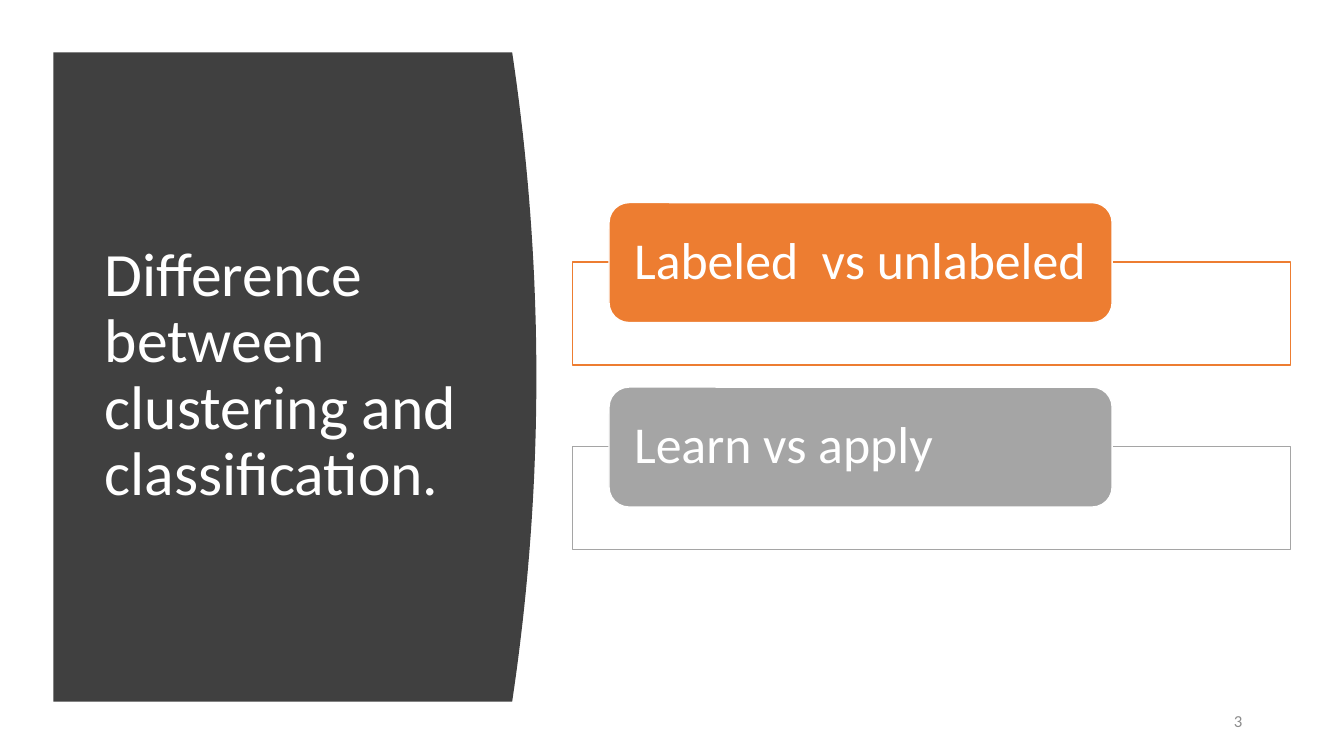
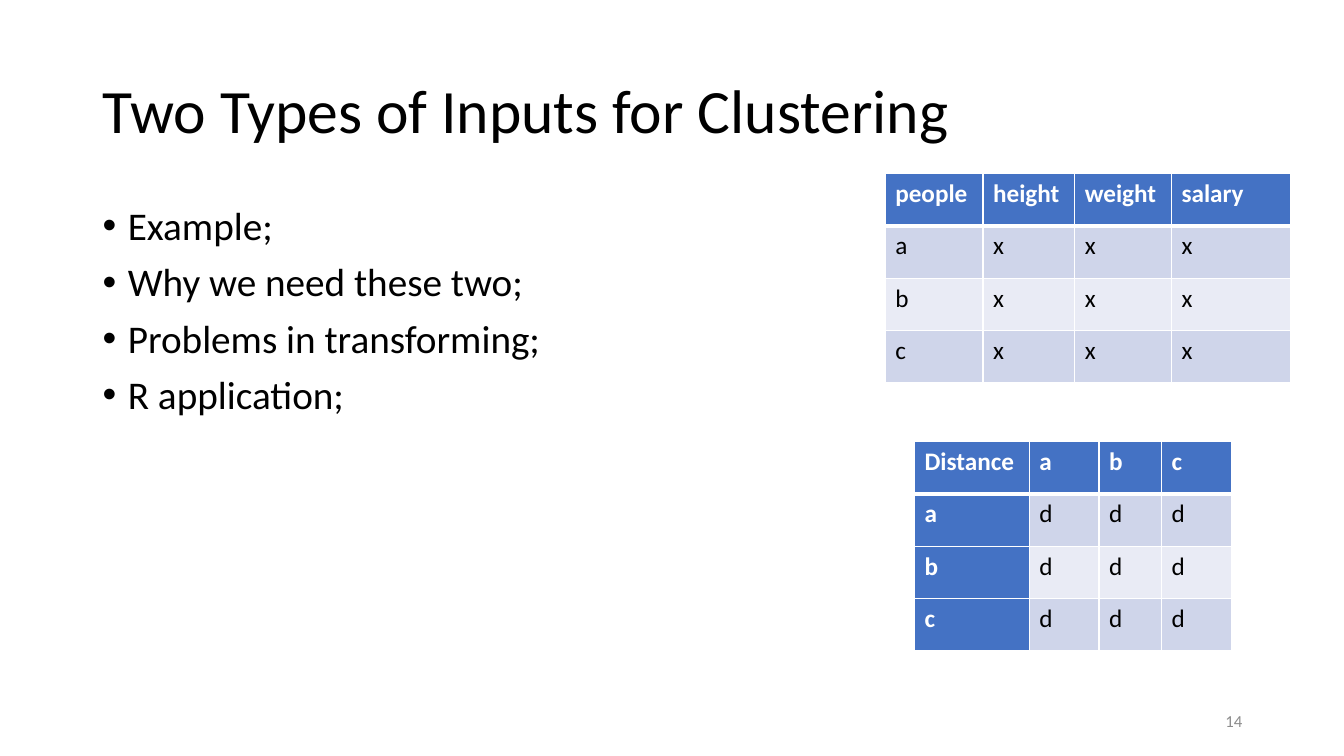
from lxml.etree import SubElement
from pptx import Presentation
from pptx.dml.color import RGBColor
from pptx.enum.shapes import MSO_SHAPE as Shape
from pptx.enum.text import MSO_ANCHOR as Anchor, PP_ALIGN as Align
from pptx.oxml.ns import qn
from pptx.util import Inches, Pt

COLOURS = {
    "white": "FFFFFF",
    "black": "000000",
    "panel": "404040",
    "orange": "ED7D31",
    "grey": "A5A5A5",
    "number": "8C8C8C",
    "blue": "4472C4",
    "band": "CFD5EA",
    "pale": "E9EBF5",
}


def colour(name):
    return RGBColor.from_string(COLOURS[name])


class Deck:
    font = "Calibri"

    def __init__(self):
        self.deck = Presentation()
        self.deck.slide_width = Inches(13.33)
        self.deck.slide_height = Inches(7.5)
        self.page = None

    def new_page(self, number):
        self.page = self.deck.slides.add_slide(self.deck.slide_layouts[6])
        self.text([str(number)], (9.42, 6.95, 3, 0.4), 12, "number",
                  anchor=Anchor.MIDDLE, align=Align.RIGHT)

    def style(self, frame, size, ink, bold=False, align=Align.LEFT, spacing=None):
        for para in frame.paragraphs:
            para.alignment = align
            para.line_spacing = spacing
            for span in para.runs:
                span.font.name = self.font
                span.font.size = Pt(size)
                span.font.bold = bold
                span.font.color.rgb = colour(ink)

    def text(self, lines, place, size, ink, anchor=Anchor.TOP,
             align=Align.LEFT, spacing=None):
        box = self.page.shapes.add_textbox(*map(Inches, place))
        frame = box.text_frame
        frame.word_wrap = True
        frame.vertical_anchor = anchor
        frame.text = "\n".join(lines)
        self.style(frame, size, ink, align=align, spacing=spacing)
        return frame

    def title(self, words, place=(0.92, 0.4, 11.5, 1.45), ink="black"):
        self.text([words], place, 44, ink, anchor=Anchor.MIDDLE, spacing=0.9)

    def bullets(self, lines, place):
        frame = self.text(lines, place, 28, "black", spacing=0.9)
        for para in frame.paragraphs:
            para.space_before = Pt(10)
            properties = para._p.get_or_add_pPr()
            properties.set("marL", str(Inches(0.25)))
            properties.set("indent", str(-Inches(0.25)))
            SubElement(properties, qn("a:buFont"), typeface="Arial")
            SubElement(properties, qn("a:buChar"), char="•")

    def paint(self, shape, fill, line=None):
        shape.shadow.inherit = False
        shape.fill.solid()
        shape.fill.fore_color.rgb = colour(fill)
        if line:
            shape.line.color.rgb = colour(line)
            shape.line.width = Pt(1)
        else:
            shape.line.fill.background()

    def shape(self, kind, place, fill, line):
        shape = self.page.shapes.add_shape(kind, *map(Inches, place))
        self.paint(shape, fill, line)
        return shape

    def curved_panel(self, left, top, right, bottom, bulge, steps=40):
        middle, half = (top + bottom) / 2, (bottom - top) / 2
        heights = [top + (bottom - top) * step / steps for step in range(steps + 1)]
        edge = [(right + bulge * (1 - ((y - middle) / half) ** 2), y) for y in heights]
        builder = self.page.shapes.build_freeform(
            Inches(left), Inches(top), scale=1.0)
        points = [(Inches(x), Inches(y)) for x, y in edge + [(left, bottom)]]
        builder.add_line_segments(points, close=True)
        self.paint(builder.convert_to_shape(), "panel")

    def labelled_frame(self, words, top, accent):
        frame = self.shape(Shape.RECTANGLE, (5.68, top + 0.59, 7.12, 1.02),
                           "white", accent)
        tint = frame.fill._xPr.find(qn("a:solidFill"))[0]
        SubElement(tint, qn("a:alpha"), val="90000")
        label = self.shape(Shape.ROUNDED_RECTANGLE, (6.04, top, 4.99, 1.19),
                           accent, "white")
        content = label.text_frame
        content.text = words
        content.word_wrap = True
        content.vertical_anchor = Anchor.MIDDLE
        content.margin_left = Inches(0.19)
        content.margin_right = Inches(0.1)
        content.margin_top = content.margin_bottom = 0
        self.style(content, 37, "white", spacing=0.9)

    def borders(self, cell, row):
        properties = cell._tc.get_or_add_tcPr()
        widths = {"L": 1, "R": 1, "T": 3 if row == 1 else 1, "B": 3 if row == 0 else 1}
        for side, width in widths.items():
            line = SubElement(properties, qn(f"a:ln{side}"), w=str(Pt(width)))
            fill = SubElement(line, qn("a:solidFill"))
            SubElement(fill, qn("a:srgbClr"), val=COLOURS["white"])

    def table(self, rows, left, top, widths, row_height=0.52, head_column=False):
        table = self.page.shapes.add_table(
            len(rows), len(widths), Inches(left), Inches(top),
            Inches(sum(widths)), Inches(row_height * len(rows))).table
        for column, width in zip(table.columns, widths):
            column.width = Inches(width)
        for r, values in enumerate(rows):
            for c, value in enumerate(values):
                cell = table.cell(r, c)
                head = r == 0 or (head_column and c == 0)
                self.borders(cell, r)
                cell.fill.solid()
                fill = "blue" if head else "band" if r % 2 else "pale"
                cell.fill.fore_color.rgb = colour(fill)
                cell.text_frame.text = value
                self.style(cell.text_frame, 18, "white" if head else "black", bold=head)


def main():
    show = Deck()

    show.new_page(3)
    show.curved_panel(0.53, 0.52, 5.08, 6.96, bulge=0.24)
    show.title("Difference between clustering and classification.",
               (0.94, 1.11, 3.74, 5.24), "white")
    labels = [("Labeled  vs unlabeled", "orange"), ("Learn vs apply", "grey")]
    for index, (words, accent) in enumerate(labels):
        show.labelled_frame(words, 2.01 + 1.83 * index, accent)

    show.new_page(14)
    show.title("Two Types of Inputs for Clustering")
    show.bullets(["Example;", "Why we need these two;", "Problems in transforming;",
                  "R application;"], (0.92, 2, 11.5, 4.76))
    people = ["a", "b", "c"]
    show.table([["people", "height", "weight", "salary"]]
               + [[person] + ["x"] * 3 for person in people],
               8.78, 1.72, [0.97, 0.91, 0.96, 1.18])
    show.table([["Distance"] + people] + [[person] + ["d"] * 3 for person in people],
               9.07, 4.38, [1.14, 0.69, 0.62, 0.7], head_column=True)

    show.deck.save("out.pptx")


if __name__ == "__main__":
    main()
